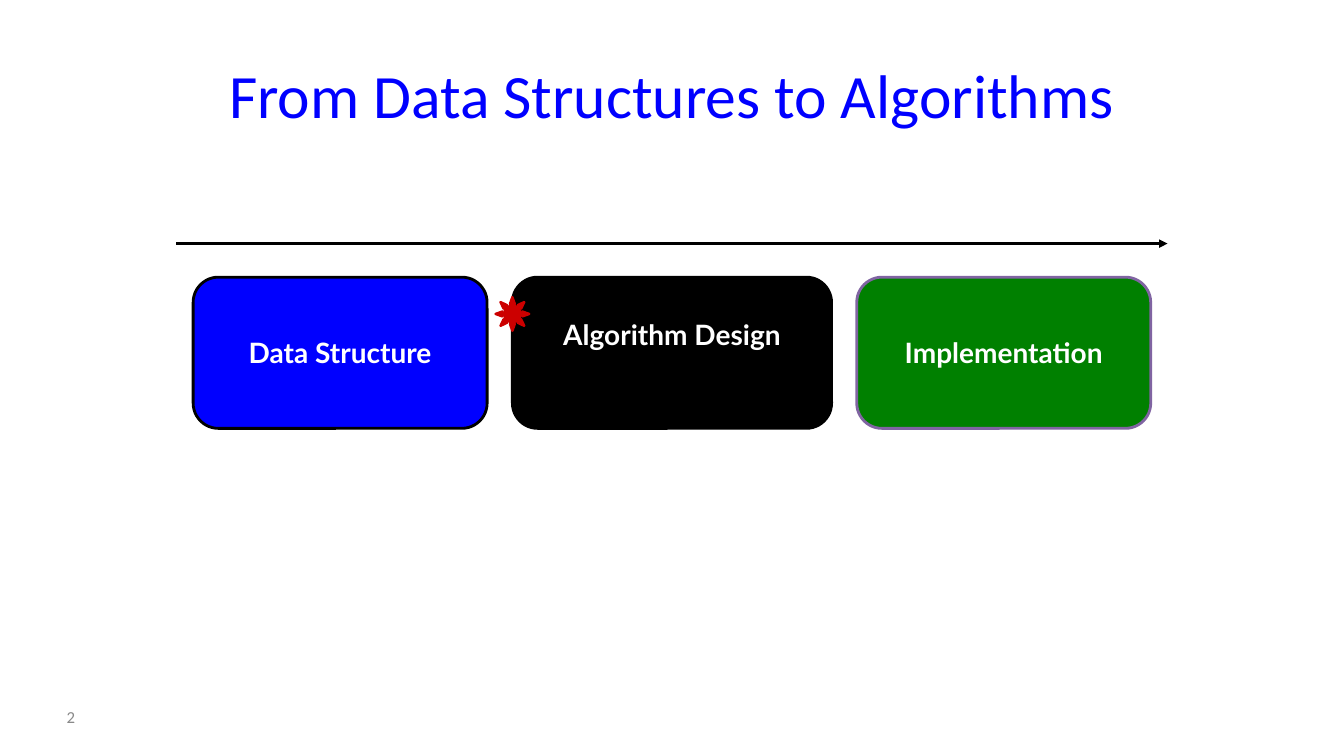
"""Build the slide that leads from data structures to algorithms."""
import pptx
import pptx.util
import pptx.dml.color
import pptx.enum.shapes
import pptx.enum.text
import pptx.oxml
import pptx.oxml.ns

EMU_PER_PX = 9525
SLIDE_SIZE = (1280, 720)
TITLE = ("From Data Structures to Algorithms", (64, 29, 1152, 120))
PAGE_NUMBER = ("2", (54, 664, 138, 38))
STAGES = [
    {"text": "Data Structure", "width": 280, "fill": "0000FF", "line": "000000", "bottom": 5},
    {"text": "Algorithm Design", "width": 304, "fill": "000000", "line": "000000", "bottom": 41},
    {"text": "Implementation", "width": 280, "fill": "008000", "line": "8064A2", "bottom": 5},
]
STAGE_LEFT, STAGE_TOP, STAGE_HEIGHT, STAGE_GAP = 184, 264, 144, 24
ARROW = (168, 232, 1112, 232)
MARKER = (472, 283, 32, 32)
MARKER_COLOR = "CC0000"

SHAPES = pptx.enum.shapes.MSO_SHAPE
ALIGN = pptx.enum.text.PP_ALIGN
MIDDLE = pptx.enum.text.MSO_ANCHOR.MIDDLE


def px(*lengths):
    return [pptx.util.Emu(length * EMU_PER_PX) for length in lengths]


def color(value):
    return pptx.dml.color.RGBColor.from_string(value)


def write(shape, text, font_name, size, text_color, align, bold=False):
    frame = shape.text_frame
    frame.text = text
    frame.vertical_anchor = MIDDLE
    paragraph = frame.paragraphs[0]
    paragraph.alignment = align
    font = paragraph.runs[0].font
    font.name, font.size, font.bold = font_name, pptx.util.Pt(size), bold
    font.color.rgb = color(text_color)


def set_line(shape, line_color, width):
    shape.line.color.rgb = color(line_color)
    shape.line.width = pptx.util.Pt(width)


def add_filled(slide, preset, box, fill, line_color, line_width):
    shape = slide.shapes.add_shape(preset, *px(*box))
    shape.shadow.inherit = False
    shape.fill.solid()
    shape.fill.fore_color.rgb = color(fill)
    set_line(shape, line_color, line_width)
    return shape


def add_stages(slide):
    left = STAGE_LEFT
    for stage in STAGES:
        box = (left, STAGE_TOP, stage["width"], STAGE_HEIGHT)
        shape = add_filled(slide, SHAPES.ROUNDED_RECTANGLE, box, stage["fill"], stage["line"], 2)
        write(shape, stage["text"], "Lato", 20, "FFFFFF", ALIGN.CENTER, True)
        shape.text_frame.word_wrap = False
        shape.text_frame.margin_top, shape.text_frame.margin_bottom = px(5, stage["bottom"])
        left += stage["width"] + STAGE_GAP


def add_arrow(slide):
    arrow = slide.shapes.add_connector(pptx.enum.shapes.MSO_CONNECTOR.STRAIGHT, *px(*ARROW))
    set_line(arrow, "000000", 2)
    head = pptx.oxml.parse_xml(f'<a:tailEnd {pptx.oxml.ns.nsdecls("a")} type="triangle"/>')
    arrow.line._get_or_add_ln().append(head)
    effects = pptx.oxml.parse_xml(f'<a:effectLst {pptx.oxml.ns.nsdecls("a")}/>')
    arrow._element.spPr.append(effects)


def main():
    presentation = pptx.Presentation()
    presentation.slide_width, presentation.slide_height = px(*SLIDE_SIZE)
    slide = presentation.slides.add_slide(presentation.slide_layouts[5])

    text, box = TITLE
    title = slide.shapes.title
    title.left, title.top, title.width, title.height = px(*box)
    write(title, text, "Calibri", 44, "0000FF", ALIGN.CENTER)

    text, box = PAGE_NUMBER
    page_number = slide.shapes.add_textbox(*px(*box))
    page_number.text_frame.word_wrap = True
    write(page_number, text, "Calibri", 12, "898989", ALIGN.LEFT)

    add_arrow(slide)
    add_stages(slide)
    marker = add_filled(slide, SHAPES.SUN, MARKER, MARKER_COLOR, MARKER_COLOR, 1.75)
    marker.adjustments[0] = 0.25
    presentation.save("out.pptx")


if __name__ == "__main__":
    main()
